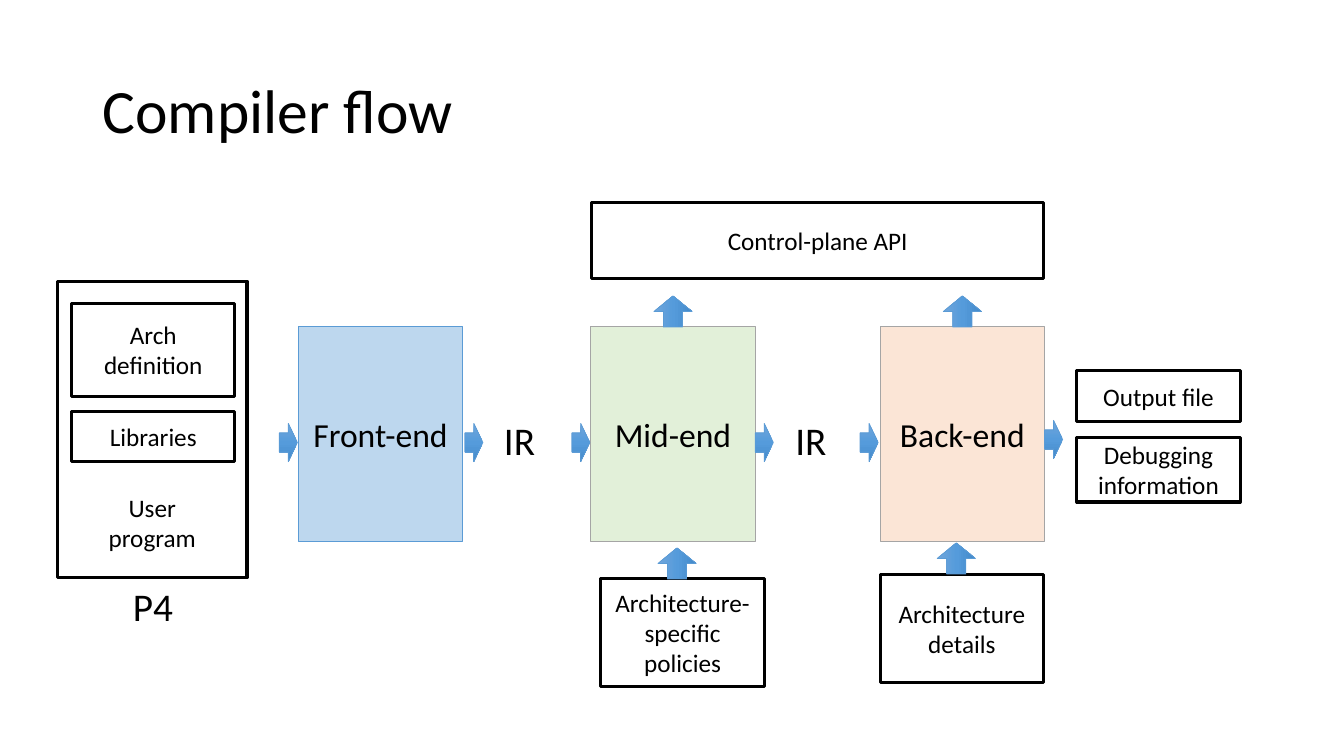
import copy
import pptx
import pptx.util
import pptx.dml.color
import pptx.enum.shapes
import pptx.enum.text
import pptx.oxml.ns

RGBColor = pptx.dml.color.RGBColor
Pt = pptx.util.Pt
SHAPE = pptx.enum.shapes.MSO_SHAPE
ALIGN = pptx.enum.text.PP_ALIGN
ANCHOR = pptx.enum.text.MSO_ANCHOR
PX = 9144
BLACK = RGBColor(0x00, 0x00, 0x00)
WHITE = RGBColor(0xFF, 0xFF, 0xFF)
GREEN = RGBColor(0xE2, 0xF0, 0xD9)
PALE_BLUE = RGBColor(0xBD, 0xD7, 0xEE)
PEACH = RGBColor(0xFB, 0xE5, 0xD6)
GRAY = RGBColor(0xA5, 0xA5, 0xA5)
BLUE = RGBColor(0x5B, 0x9B, 0xD5)
ARROW_STOPS = [
    (0, RGBColor(0x71, 0xA6, 0xDB)),
    (0.5, RGBColor(0x55, 0x9B, 0xDB)),
    (1, RGBColor(0x44, 0x8A, 0xCA)),
]


def write(sp, text, size, align):
    tf = sp.text_frame
    tf.text = text
    for p in tf.paragraphs:
        p.alignment = align
        p.font.size = Pt(size)
        p.font.name = "Calibri"
        p.font.color.rgb = BLACK
    return tf


def add_shape(kind, left, top, width, height, line, weight):
    sp = s.shapes.add_shape(kind, left * PX, top * PX, width * PX, height * PX)
    sp.shadow.inherit = False
    sp.line.color.rgb = line
    sp.line.width = Pt(weight)
    return sp


prs = pptx.Presentation()
prs.slide_width = 1333 * PX
prs.slide_height = 750 * PX
s = prs.slides.add_slide(prs.slide_layouts[6])

title = s.shapes.add_textbox(92 * PX, 40 * PX, 1150 * PX, 145 * PX)
tf = write(title, "Compiler flow", 44, ALIGN.LEFT)
tf.word_wrap = True
tf.vertical_anchor = ANCHOR.MIDDLE
tf.paragraphs[0].line_spacing = 0.9

for left, text, fill, line in [
    (586, "Mid-end", GREEN, GRAY),
    (296, "Front-end", PALE_BLUE, BLUE),
    (873, "Back-end", PEACH, GRAY),
]:
    sp = add_shape(SHAPE.RECTANGLE, left, 324, 163, 213, line, 0.5)
    sp.fill.solid()
    sp.fill.fore_color.rgb = fill
    write(sp, text, 24, ALIGN.CENTER)

for left, top, width, text in [
    (490, 408, 51, "IR"),
    (779, 408, 51, "IR"),
    (122, 573, 61, "P4"),
]:
    label = s.shapes.add_textbox(left * PX, top * PX, width * PX, 57 * PX)
    tf = write(label, text, 28, ALIGN.LEFT)
    tf.word_wrap = False
    tf.auto_size = pptx.enum.text.MSO_AUTO_SIZE.SHAPE_TO_FIT_TEXT

for left, top, width, height, text in [
    (57, 279, 188, 294, "User\nprogram"),
    (71, 301, 162, 92, "Arch definition"),
    (71, 408, 162, 50, "Libraries"),
    (1068, 368, 162, 50, "Output file"),
    (1068, 434, 162, 64, "Debugging\ninformation"),
    (587, 201, 448, 75, "Control-plane API"),
    (596, 574, 162, 107, "Architecture-specific policies"),
    (873, 570, 162, 107, "Architecture\ndetails"),
]:
    sp = add_shape(SHAPE.RECTANGLE, left, top, width, height, BLACK, 2.25)
    sp.fill.solid()
    sp.fill.fore_color.rgb = WHITE
    tf = write(sp, text, 18, ALIGN.CENTER)
    if text.startswith("User"):
        tf.vertical_anchor = ANCHOR.BOTTOM
        tf.margin_bottom = 25 * PX

for left, top, width, rotation in [
    (277, 420, 18, 0),
    (461, 420, 18, 0),
    (567, 420, 18, 0),
    (749, 420, 18, 0),
    (853, 420, 18, 0),
    (1036, 417, 18, 0),
    (652, 290, 31, 270),
    (939, 290, 31, 270),
    (656, 540, 31, 270),
    (933, 535, 31, 270),
]:
    arrow = add_shape(SHAPE.RIGHT_ARROW, left, top, width, 38, BLUE, 0.5)
    arrow.rotation = rotation
    arrow.fill.gradient()
    arrow.fill.gradient_angle = 270
    stops = arrow._element.spPr.find(".//" + pptx.oxml.ns.qn("a:gsLst"))
    stops.insert(1, copy.deepcopy(stops[0]))
    for stop, (position, color) in zip(arrow.fill.gradient_stops, ARROW_STOPS):
        stop.position = position
        stop.color.rgb = color

prs.save("out.pptx")
